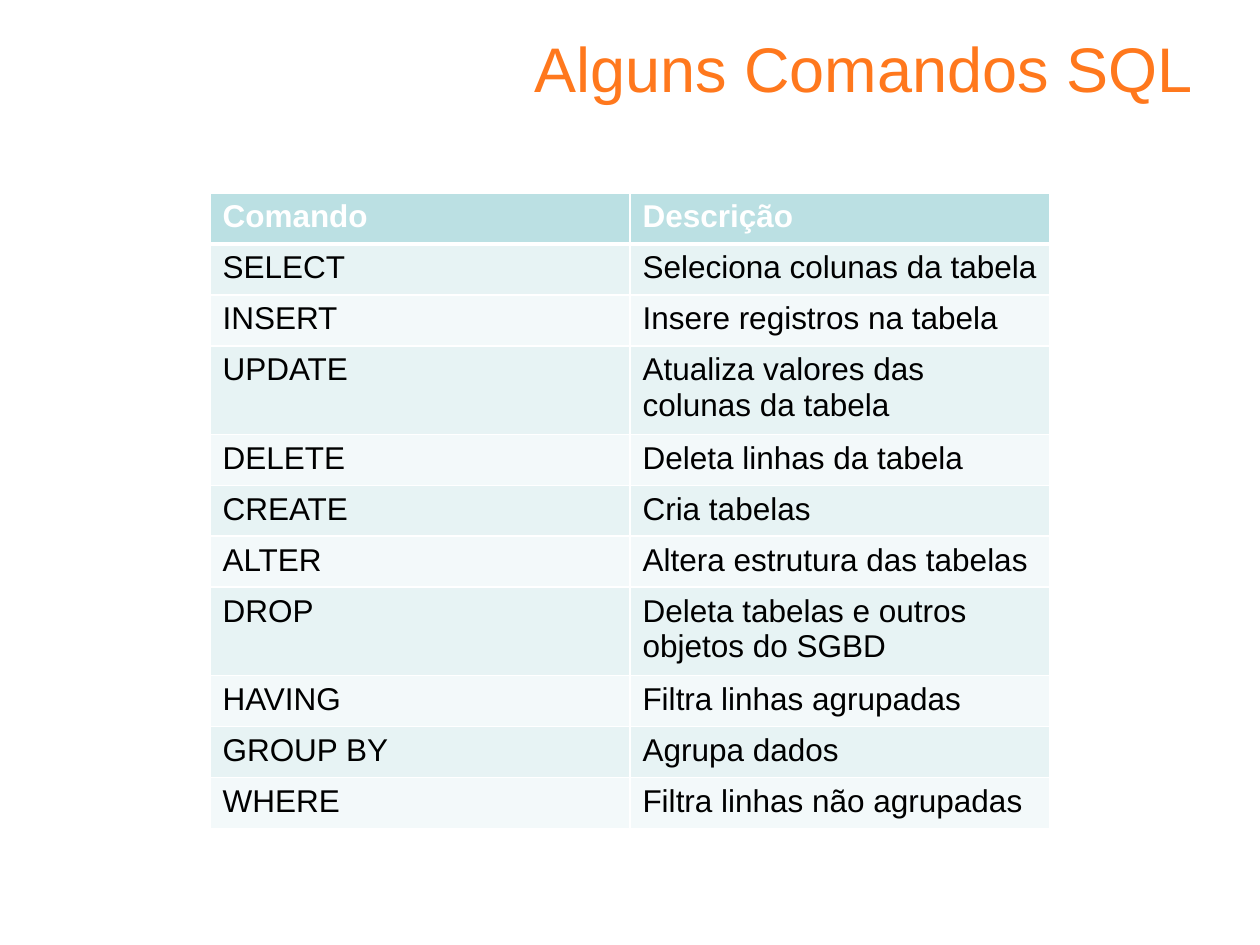
"""Build a slide that lists common SQL commands in a table."""
import dataclasses

import pptx
import pptx.dml.color
import pptx.enum.text
import pptx.oxml
import pptx.oxml.ns
import pptx.util

RGB = pptx.dml.color.RGBColor
ORANGE = RGB(0xFF, 0x78, 0x1D)
WHITE = RGB(0xFF, 0xFF, 0xFF)
BLACK = RGB(0, 0, 0)
TEAL = RGB(0xBB, 0xE0, 0xE3)
BANDS = (RGB(0xE7, 0xF3, 0xF4), RGB(0xF3, 0xF9, 0xFA))

FONT = "Arial"
SCALE = 914400 / 126
LEFT, TOP, COL = 210, 193, 420
LINE, EXTRA = 51, 37


@dataclasses.dataclass(frozen=True)
class Entry:
    """One row of the table, with the number of lines it fills."""

    name: str
    text: str
    lines: int = 1

    @property
    def height(self) -> int:
        """Row height in px."""
        return LINE + EXTRA * (self.lines - 1)


ENTRIES = (
    Entry("Comando", "Descrição"),
    Entry("SELECT", "Seleciona colunas da tabela"),
    Entry("INSERT", "Insere registros na tabela"),
    Entry("UPDATE", "Atualiza valores das colunas da tabela", 2),
    Entry("DELETE", "Deleta linhas da tabela"),
    Entry("CREATE", "Cria tabelas"),
    Entry("ALTER", "Altera estrutura das tabelas"),
    Entry("DROP", "Deleta tabelas e outros objetos do SGBD", 2),
    Entry("HAVING", "Filtra linhas agrupadas"),
    Entry("GROUP BY", "Agrupa dados"),
    Entry("WHERE", "Filtra linhas não agrupadas"),
)


def px(size: int) -> pptx.util.Emu:
    """Turn px into EMU."""
    return pptx.util.Emu(round(size * SCALE))


def style(frame, size: int, color: RGB, bold: bool = False) -> None:
    """Format every run of a text frame."""
    for para in frame.paragraphs:
        for run in para.runs:
            run.font.name = FONT
            run.font.size = pptx.util.Pt(size)
            run.font.bold = bold
            run.font.color.rgb = color


def edge(cell, side: str, width: int) -> None:
    """Add a white border, in points, to one side of a cell."""
    space = pptx.oxml.ns.nsdecls("a")
    line = pptx.oxml.parse_xml(
        f'<a:{side} {space} w="{pptx.util.Pt(width)}"><a:solidFill>'
        f'<a:srgbClr val="{WHITE}"/></a:solidFill></a:{side}>'
    )
    cell._tc.get_or_add_tcPr().append(line)


def fill_cell(cell, text: str, row: int) -> None:
    """Write and format one cell by the row it is in."""
    head = row == 0
    cell.text_frame.text = text
    style(cell.text_frame, 18, WHITE if head else BLACK, head)
    for side in ("lnL", "lnR", "lnT", "lnB"):
        thick = (row, side) in ((0, "lnB"), (1, "lnT"))
        edge(cell, side, 3 if thick else 1)
    cell.fill.solid()
    cell.fill.fore_color.rgb = TEAL if head else BANDS[(row - 1) % 2]


def add_title(slide, text: str) -> None:
    """Add the title, aligned right."""
    frame = slide.shapes.add_textbox(px(302), px(18), px(903), px(88)).text_frame
    frame.word_wrap = True
    frame.margin_top = px(12)
    frame.text = text
    frame.paragraphs[0].alignment = pptx.enum.text.PP_ALIGN.RIGHT
    style(frame, 36, ORANGE)


def add_grid(slide, entries: tuple[Entry, ...]) -> None:
    """Add the table of commands."""
    high = sum(entry.height for entry in entries)
    table = slide.shapes.add_table(
        len(entries), 2, px(LEFT), px(TOP), px(2 * COL), px(high)
    ).table
    for row, entry in enumerate(entries):
        table.rows[row].height = px(entry.height)
        for col, text in enumerate((entry.name, entry.text)):
            fill_cell(table.cell(row, col), text, row)


def main() -> None:
    """Build and save the slide."""
    deck = pptx.Presentation()
    deck.slide_width, deck.slide_height = px(1260), px(945)
    slide = deck.slides.add_slide(deck.slide_layouts[6])
    add_title(slide, "Alguns Comandos SQL")
    add_grid(slide, ENTRIES)
    deck.save("out.pptx")


if __name__ == "__main__":
    main()
